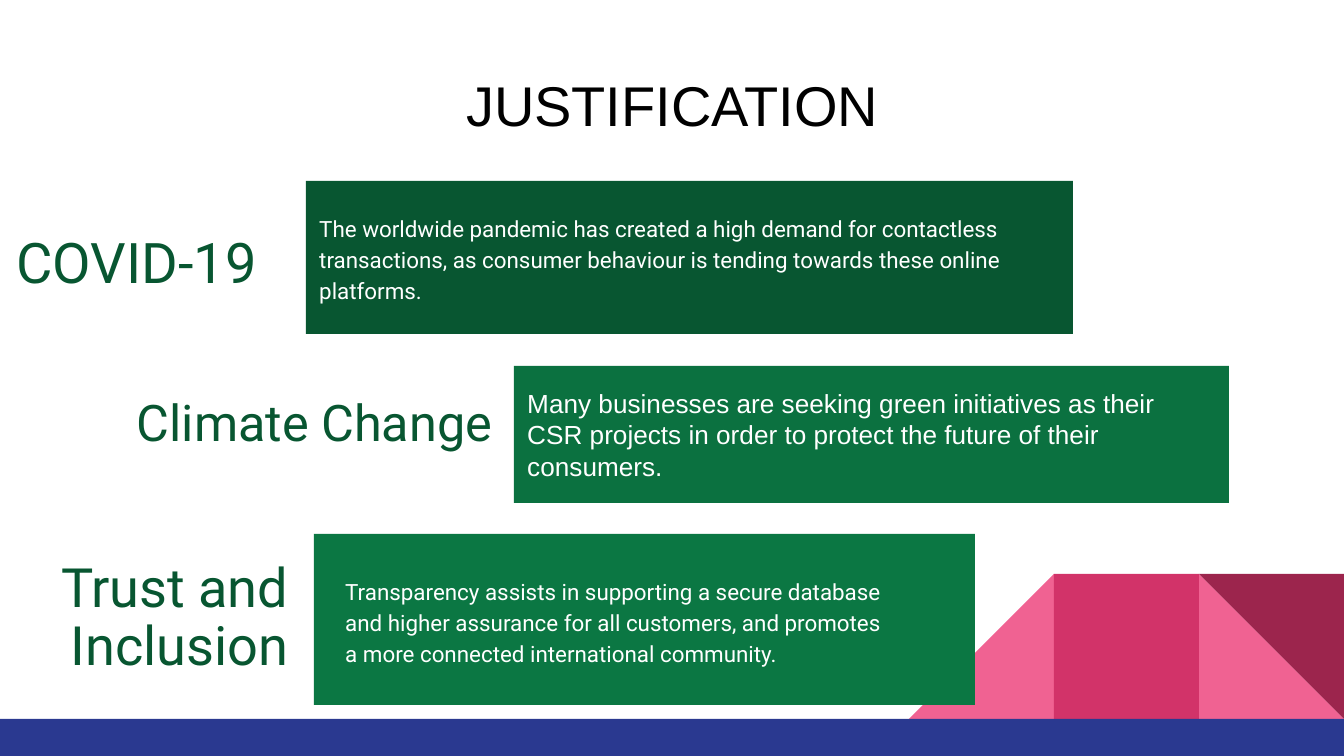
"""Build the justification slide: three labelled reasons above a corner motif."""
import pptx
import pptx.util
import pptx.dml.color
import pptx.enum.shapes
import pptx.enum.text
import pptx.oxml
import pptx.oxml.ns

RGB = pptx.dml.color.RGBColor
KIND = pptx.enum.shapes.MSO_SHAPE
ALIGN = pptx.enum.text.PP_ALIGN
ANCHOR = pptx.enum.text.MSO_ANCHOR

BLACK = RGB(0x00, 0x00, 0x00)
WHITE = RGB(0xFF, 0xFF, 0xFF)
PINK = RGB(0xF0, 0x62, 0x92)
ROSE = RGB(0xD2, 0x33, 0x69)
WINE = RGB(0x9C, 0x25, 0x4D)
BLUE = RGB(0x2A, 0x39, 0x90)
DARK = RGB(0x08, 0x56, 0x31)
GREEN = RGB(0x0B, 0x71, 0x40)
LIGHT = RGB(0x0B, 0x77, 0x43)

WIDE, HIGH = 1344, 756
SCALE = 914400 / 134.4
SIDE, FLOOR = 145, 719

TILES = [
    (1, KIND.RIGHT_TRIANGLE, PINK, 0, False),
    (3, KIND.RIGHT_TRIANGLE, PINK, 0, True),
    (2, KIND.RECTANGLE, ROSE, 0, False),
    (1, KIND.RIGHT_TRIANGLE, WINE, 180, False),
]

TITLE = ("JUSTIFICATION", 30, "Arial", BLACK, ALIGN.CENTER, 1.0)

REASONS = [
    {
        "label": ("COVID-19", 30, "Roboto", DARK, ALIGN.CENTER, 0.9),
        "spot": (0, 191, 294, 132),
        "bar": (306, 181, 767, 153),
        "fill": DARK,
        "body": ("The worldwide pandemic has created a high demand for contactless "
                 "transactions, as consumer behaviour is tending towards these online "
                 "platforms.", 12, "Roboto", WHITE, ALIGN.LEFT, 1.15),
        "area": (306, 181, 767, 153),
        "tail": 44,
    },
    {
        "label": ("Climate Change", 27, "Roboto", DARK, ALIGN.CENTER, 0.9),
        "spot": (115, 366, 399, 118),
        "bar": (514, 366, 715, 137),
        "fill": GREEN,
        "body": ("Many businesses are seeking green initiatives as their CSR projects "
                 "in order to protect the future of their consumers.",
                 14, "Arial", WHITE, ALIGN.LEFT, 1.0),
    },
    {
        "label": ("Trust and Inclusion", 29, "Roboto", DARK, ALIGN.RIGHT, 0.9),
        "spot": (15, 546, 287, 146),
        "bar": (314, 534, 661, 171),
        "fill": LIGHT,
        "body": ("Transparency assists in supporting a secure database and higher "
                 "assurance for all customers, and promotes a more connected "
                 "international community.", 12, "Roboto", WHITE, ALIGN.LEFT, 1.15),
        "area": (332, 582, 566, 77),
    },
]

GLOW = (
    '<a:effectLst %s><a:outerShdw blurRad="38100" dist="38100" dir="2700000" algn="tl">'
    '<a:srgbClr val="000000"><a:alpha val="43000"/></a:srgbClr></a:outerShdw></a:effectLst>'
    % pptx.oxml.ns.nsdecls("a")
)


def px(num):
    return pptx.util.Emu(round(num * SCALE))


def block(slide, kind, box, fill):
    shape = slide.shapes.add_shape(kind, *map(px, box))
    shape.shadow.inherit = False
    shape.fill.solid()
    shape.fill.fore_color.rgb = fill
    shape.line.fill.background()
    return shape


def write(shape, text, size, face, color, align, lead):
    frame = shape.text_frame
    frame.word_wrap = True
    frame.vertical_anchor = ANCHOR.MIDDLE
    frame.margin_left = frame.margin_right = pptx.util.Inches(0.1)
    frame.margin_top = frame.margin_bottom = pptx.util.Inches(0.05)
    para = frame.paragraphs[0]
    para.alignment = align
    para.line_spacing = lead
    para.font.size = pptx.util.Pt(size)
    para.font.name = face
    para.font.color.rgb = color
    run = para.add_run()
    run.text = text
    return run


def label(slide, box, style):
    return write(slide.shapes.add_textbox(*map(px, box)), *style)


def motif(slide):
    for step, kind, fill, turn, flip in TILES:
        box = (WIDE - step * SIDE, FLOOR - SIDE, SIDE, SIDE)
        tile = block(slide, kind, box, fill)
        tile.rotation = turn
        if flip:
            tile.element.spPr.xfrm.set("flipH", "1")
    block(slide, KIND.RECTANGLE, (0, FLOOR, WIDE, HIGH - FLOOR), BLUE)


def reason(slide, item):
    run = label(slide, item["spot"], item["label"])
    if "tail" in item:
        para = slide.shapes[-1].text_frame.paragraphs[0]
        run = para.add_run()
        run.text = " "
        run.font.size = pptx.util.Pt(item["tail"])
    bar = block(slide, KIND.RECTANGLE, item["bar"], item["fill"])
    if "area" in item:
        label(slide, item["area"], item["body"])
    else:
        write(bar, *item["body"])


def main():
    deck = pptx.Presentation()
    deck.slide_width, deck.slide_height = px(WIDE), px(HIGH)
    slide = deck.slides.add_slide(deck.slide_layouts[6])
    motif(slide)
    head = label(slide, (46, 60, 1253, 89), TITLE)
    head.font.size = pptx.util.Pt(TITLE[1])
    head.font._element.append(pptx.oxml.parse_xml(GLOW))
    for item in REASONS:
        reason(slide, item)
    deck.save("out.pptx")


if __name__ == "__main__":
    main()
